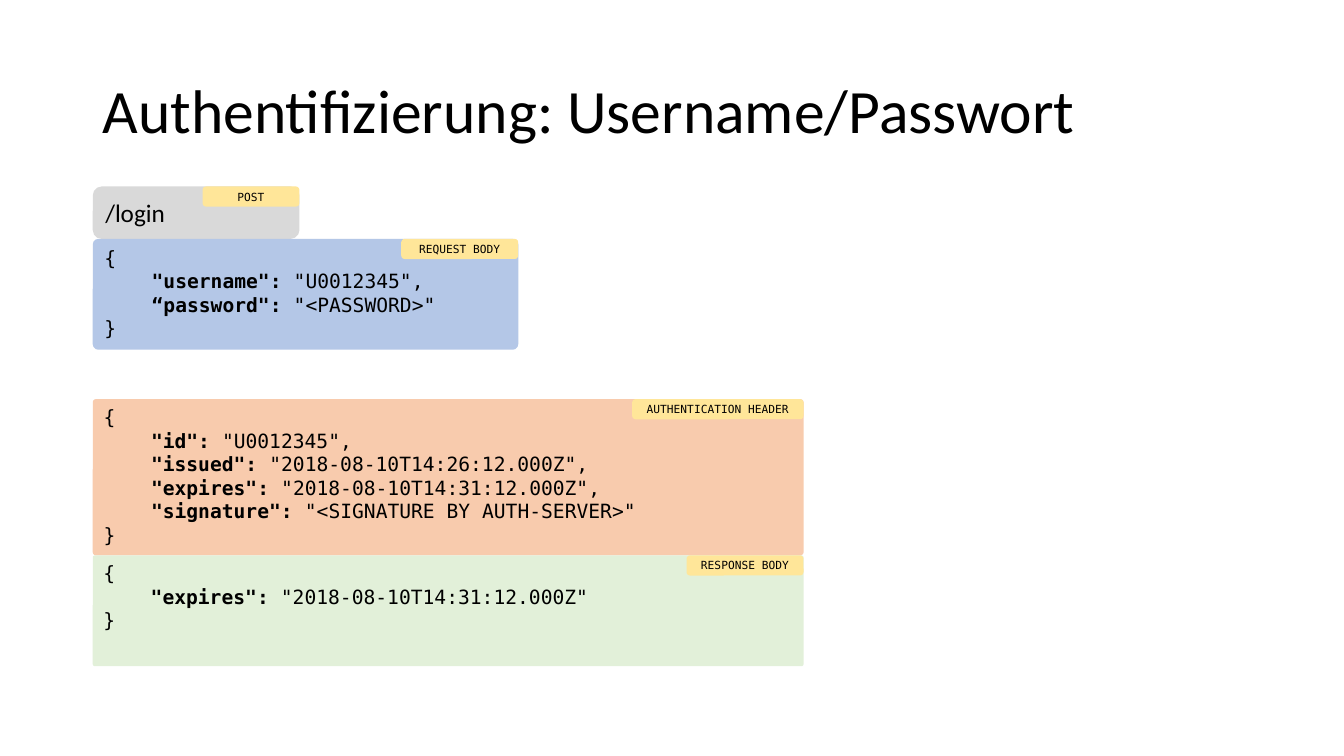
from pptx import Presentation
from pptx.dml.color import RGBColor
from pptx.enum.shapes import MSO_SHAPE
from pptx.enum.text import MSO_ANCHOR, PP_ALIGN
from pptx.util import Inches, Pt

COLORS = {
    "text": "000000",
    "path": "D9D9D9",
    "request": "B4C7E7",
    "header": "F8CBAD",
    "response": "E2F0D9",
    "tag": "FFE699",
}
SANS = "Calibri"
MONO = "DejaVu Sans Mono"
LEFT = 0.92
TAG_HEIGHT = 0.2
JSON_INDENT = 0.47


def add_text(paragraph, text, *, size, font=SANS, bold=False):
    """Append one formatted run to a paragraph."""
    run = paragraph.add_run()
    run.text = text
    run.font.name = font
    run.font.size = Pt(size)
    run.font.bold = bold
    run.font.color.rgb = RGBColor.from_string(COLORS["text"])


class SlideBuilder:
    """Hold the slide and draw its elements in one style."""

    def __init__(self, slide):
        """Keep the slide to draw on."""
        self.slide = slide

    def title(self, text):
        """Add the slide title."""
        box = self.slide.shapes.add_textbox(
            Inches(LEFT), Inches(0.4), Inches(11.5), Inches(1.45))
        frame = box.text_frame
        frame.word_wrap = True
        frame.vertical_anchor = MSO_ANCHOR.MIDDLE
        paragraph = frame.paragraphs[0]
        paragraph.line_spacing = 0.9
        add_text(paragraph, text, size=44)

    def box(self, left, top, width, height, color, *, corner=0.17,
            anchor=MSO_ANCHOR.MIDDLE):
        """Add a filled rounded box and return its text frame."""
        shape = self.slide.shapes.add_shape(
            MSO_SHAPE.ROUNDED_RECTANGLE,
            Inches(left), Inches(top), Inches(width), Inches(height))
        shape.shadow.inherit = False
        shape.adjustments[0] = corner
        shape.fill.solid()
        shape.fill.fore_color.rgb = RGBColor.from_string(COLORS[color])
        shape.line.fill.background()
        frame = shape.text_frame
        frame.word_wrap = True
        frame.vertical_anchor = anchor
        frame.paragraphs[0].alignment = PP_ALIGN.LEFT
        return frame

    def tag(self, text, right, top, width):
        """Add a label in the top right corner of a box."""
        frame = self.box(right - width, top, width, TAG_HEIGHT, "tag")
        paragraph = frame.paragraphs[0]
        paragraph.alignment = PP_ALIGN.CENTER
        add_text(paragraph, text, size=8, font=MONO)

    def endpoint(self, text, tag, top, width, height, tag_width):
        """Add the box with the path and its method."""
        frame = self.box(LEFT, top, width, height, "path")
        add_text(frame.paragraphs[0], text, size=18)
        self.tag(tag, LEFT + width, top, tag_width)

    def json_card(self, tag, fields, color, top, width, height, tag_width,
                  corner=0.02):
        """Add a box that shows a JSON object, one field a line."""
        frame = self.box(LEFT, top, width, height, color, corner=corner,
                         anchor=MSO_ANCHOR.TOP)
        add_text(frame.paragraphs[0], "{", size=14, font=MONO)
        for key, value in fields:
            paragraph = frame.add_paragraph()
            paragraph.alignment = PP_ALIGN.LEFT
            paragraph._p.get_or_add_pPr().set("marL", str(Inches(JSON_INDENT)))
            add_text(paragraph, key + " ", size=14, font=MONO, bold=True)
            add_text(paragraph, value, size=14, font=MONO)
        closing = frame.add_paragraph()
        closing.alignment = PP_ALIGN.LEFT
        add_text(closing, "}", size=14, font=MONO)
        self.tag(tag, LEFT + width, top, tag_width)


def main():
    """Build and save the presentation."""
    presentation = Presentation()
    presentation.slide_width = Inches(13.33)
    presentation.slide_height = Inches(7.5)
    slide = presentation.slides.add_slide(presentation.slide_layouts[6])
    builder = SlideBuilder(slide)

    builder.title("Authentifizierung: Username/Passwort")
    builder.endpoint("/login", "POST", top=1.85, width=2.05, height=0.52,
                     tag_width=0.96)
    builder.json_card(
        "REQUEST BODY",
        [('"username":', '"U0012345",'),
         ('“password":', '"<PASSWORD>"')],
        "request", top=2.37, width=4.22, height=1.1, tag_width=1.16,
        corner=0.05)
    builder.json_card(
        "AUTHENTICATION HEADER",
        [('"id":', '"U0012345",'),
         ('"issued":', '"2018-08-10T14:26:12.000Z",'),
         ('"expires":', '"2018-08-10T14:31:12.000Z",'),
         ('"signature":', '"<SIGNATURE BY AUTH-SERVER>"')],
        "header", top=3.96, width=7.05, height=1.55, tag_width=1.7)
    builder.json_card(
        "RESPONSE BODY",
        [('"expires":', '"2018-08-10T14:31:12.000Z"')],
        "response", top=5.51, width=7.05, height=1.1, tag_width=1.16)

    presentation.save("out.pptx")


main()
